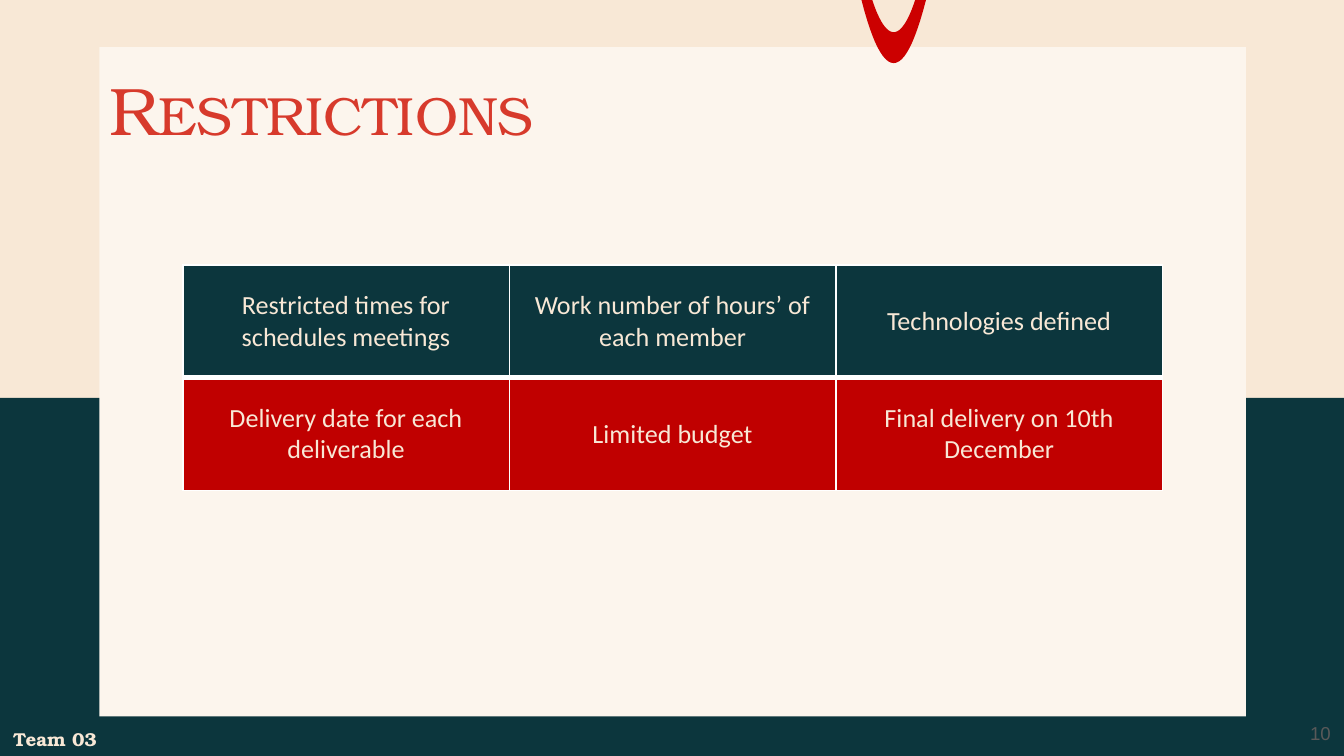
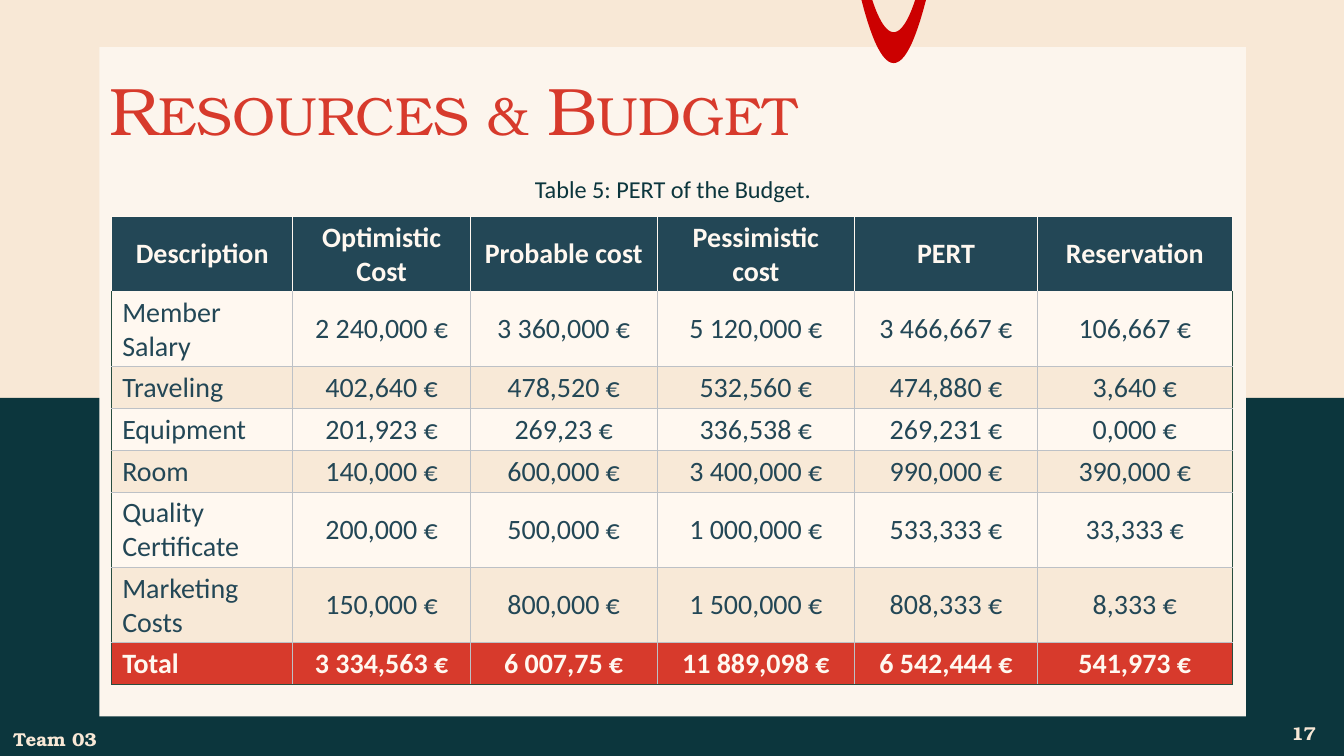
from lxml import etree
from pptx import Presentation
from pptx import util as u
from pptx.dml.color import RGBColor
from pptx.enum import shapes, text
from pptx.oxml.ns import qn

SAND = RGBColor(0xF8, 0xE8, 0xD6)
TEAL = RGBColor(0x0C, 0x36, 0x3D)
CREAM = RGBColor(0xFC, 0xF5, 0xED)
RED = RGBColor(0xCC, 0x00, 0x00)
TITLE_RED = RGBColor(0xD7, 0x3A, 0x2C)
CELL_RED = RGBColor(0xC0, 0x00, 0x00)
GREY = RGBColor(0x59, 0x59, 0x59)
WHITE = RGBColor(0xFF, 0xFF, 0xFF)
SLATE = RGBColor(0x23, 0x47, 0x56)
IVORY = RGBColor(0xFF, 0xF8, 0xF0)
BAND = RGBColor(0xF8, 0xE9, 0xD7)
RULE = RGBColor(0xBD, 0xC1, 0xC6)
EDGE = RGBColor(0x28, 0x4E, 0x3F)

LEFT, CENTER = text.PP_ALIGN.LEFT, text.PP_ALIGN.CENTER
RIGHT, JUSTIFY = text.PP_ALIGN.RIGHT, text.PP_ALIGN.JUSTIFY
SERIF = "TeX Gyre Bonum"
TITLE = {"size": u.Pt(36), "name": SERIF}
FOOTER = {"size": u.Pt(10), "name": SERIF, "bold": True}
NUMBER = {"size": u.Pt(10), "name": "Arial"}
CAPTION = {"size": u.Pt(13), "name": "Calibri"}
RESTRICTION = {"size": u.Pt(14), "name": "Calibri", "bold": False}
COST = {"size": u.Pt(15), "name": "Calibri", "bold": False}
COST_BOLD = {**COST, "bold": True}


def write(tf, words, align, fmt, color):
    p = tf.paragraphs[0]
    p.alignment = align
    r = p.add_run()
    r.text = words
    for key, value in fmt.items():
        setattr(r.font, key, value)
    r.font.color.rgb = color
    return p


def add_text(s, at, words, align, fmt, color):
    tf = s.shapes.add_textbox(*map(u.Inches, at)).text_frame
    tf.word_wrap = True
    tf.vertical_anchor = text.MSO_ANCHOR.MIDDLE
    for side in ("left", "top", "right", "bottom"):
        setattr(tf, f"margin_{side}", u.Inches(0.1))
    return write(tf, words, align, fmt, color)


prs = Presentation()
prs.slide_width, prs.slide_height = u.Inches(10), u.Inches(10 * 9 / 16)

restrictions = [
    ["Restricted times for schedules meetings", "Work number of hours’ of each member",
     "Technologies defined"],
    ["Delivery date for each deliverable", "Limited budget", "Final delivery on 10th December"],
]
budget = [
    ["Description", "Optimistic Cost", "Probable cost", "Pessimistic cost", "PERT", "Reservation"],
    ["Member Salary", "2 240,000 €", "3 360,000 €", "5 120,000 €", "3 466,667 €", "106,667 €"],
    ["Traveling", "402,640 €", "478,520 €", "532,560 €", "474,880 €", "3,640 €"],
    ["Equipment", "201,923 €", "269,23 €", "336,538 €", "269,231 €", "0,000 €"],
    ["Room", "140,000 €", "600,000 €", "3 400,000 €", "990,000 €", "390,000 €"],
    ["Quality Certificate", "200,000 €", "500,000 €", "1 000,000 €", "533,333 €", "33,333 €"],
    ["Marketing Costs", "150,000 €", "800,000 €", "1 500,000 €", "808,333 €", "8,333 €"],
    ["Total", "3 334,563 €", "6 007,75 €", "11 889,098 €", "6 542,444 €", "541,973 €"],
]
pages = [
    {"title": "Restrictions", "number": ("10", RIGHT, NUMBER, GREY), "rows": restrictions,
     "at": (1.36, 1.97), "cols": [2.43] * 3, "heights": [0.84] * 2, "margins": (0.1, 0.05)},
    {"title": "Resources & Budget", "number": ("17", CENTER, FOOTER, SAND), "rows": budget,
     "at": (0.83, 1.61), "cols": [1.35, 1.32, 1.39, 1.47, 1.36, 1.45],
     "heights": [0.56, 0.56, 0.31, 0.31, 0.31, 0.56, 0.56, 0.31], "margins": (0.08, 0.03)},
]

for page in pages:
    s = prs.slides.add_slide(prs.slide_layouts[6])
    for at, color in [((0, 0, 10, 5.69), SAND), ((0, 2.96, 10, 2.71), TEAL),
                      ((0.74, 0.35, 8.53, 4.98), CREAM)]:
        sp = s.shapes.add_shape(shapes.MSO_SHAPE.RECTANGLE, *map(u.Inches, at))
        sp.shadow.inherit = False
        sp.fill.solid()
        sp.fill.fore_color.rgb = color
        sp.line.fill.background()

    steps = [i / 12 for i in range(-12, 13)]
    outer = [(6.65 + 0.24 * t, 0.47 * (1 - t * t)) for t in steps]
    inner = [(6.65 + 0.16 * t, 0.24 * (1 - t * t)) for t in reversed(steps)]
    points = [(u.Inches(x), u.Inches(y)) for x, y in outer + inner]
    fb = s.shapes.build_freeform(*points[0])
    fb.add_line_segments(points[1:], close=True)
    sp = fb.convert_to_shape()
    sp.shadow.inherit = False
    sp.fill.solid()
    sp.fill.fore_color.rgb = RED
    sp.line.fill.background()

    p = add_text(s, (0.72, 0.49, 8.94, 0.63), page["title"], JUSTIFY, TITLE, TITLE_RED)
    p.space_after = u.Pt(36)
    p.runs[0]._r.get_or_add_rPr().set("cap", "small")
    add_text(s, (9.4, 5.24, 0.6, 0.43), *page["number"])
    add_text(s, (0, 5.32, 0.96, 0.35), "Team 03", LEFT, FOOTER, SAND)

    rows, cols = page["rows"], page["cols"]
    size = sum(cols), sum(page["heights"])
    tbl = s.shapes.add_table(len(rows), len(cols), *map(u.Inches, page["at"] + size)).table
    tbl.first_row = tbl.horz_banding = False
    for column, width in zip(tbl.columns, cols):
        column.width = u.Inches(width)
    for row, height in zip(tbl.rows, page["heights"]):
        row.height = u.Inches(height)

    last_row, last_col = len(rows) - 1, len(cols) - 1
    for i, row in enumerate(rows):
        for j, words in enumerate(row):
            if rows is restrictions:
                fill, color, fmt, align = (TEAL, CELL_RED)[i], SAND, RESTRICTION, CENTER
                borders = {side: (WHITE, 1) for side in "LRTB"}
                borders["T" if i else "B"] = (WHITE, 3)
            else:
                align = JUSTIFY if i and j == 0 else CENTER
                fill, color, fmt = (IVORY if i % 2 else BAND), SLATE, COST
                borders = {side: (RULE if i else IVORY, 0.63) for side in "LRTB"}
                if i in (0, last_row):
                    fill, color, fmt = (TITLE_RED if i else SLATE), IVORY, COST_BOLD
                if i == 1:
                    borders["T"] = (IVORY, 0.63)
                for side, outside in [("L", j == 0), ("R", j == last_col), ("B", i == last_row)]:
                    if i and outside:
                        borders[side] = (EDGE, 0.63)

            cell = tbl.cell(i, j)
            cell.vertical_anchor = text.MSO_ANCHOR.MIDDLE
            cell.margin_left = cell.margin_right = u.Inches(page["margins"][0])
            cell.margin_top = cell.margin_bottom = u.Inches(page["margins"][1])
            cell.fill.solid()
            cell.fill.fore_color.rgb = fill
            write(cell.text_frame, words, align, fmt, color)
            tcPr = cell._tc.get_or_add_tcPr()
            for k, (side, (rule, width)) in enumerate(borders.items()):
                ln = etree.Element(qn(f"a:ln{side}"), w=str(u.Pt(width)))
                solid = etree.SubElement(ln, qn("a:solidFill"))
                etree.SubElement(solid, qn("a:srgbClr"), val=str(rule))
                tcPr.insert(k, ln)

    if rows is budget:
        add_text(s, (3.75, 1.23, 2.51, 0.35), "Table 5: PERT of the Budget.", CENTER, CAPTION, TEAL)

prs.save("out.pptx")
